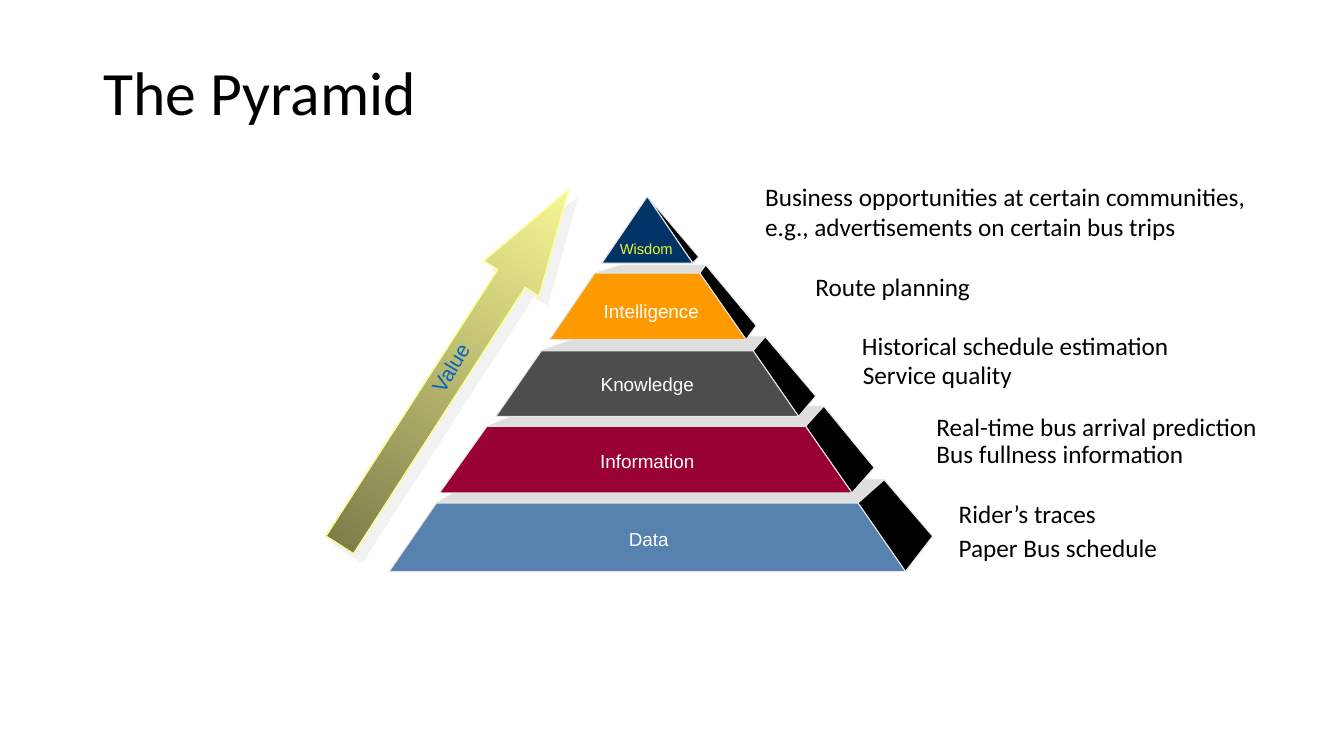
from dataclasses import dataclass

from lxml.etree import SubElement
from pptx import Presentation
from pptx.dml.color import RGBColor as RGB
from pptx.enum.shapes import MSO_SHAPE as SHAPE
from pptx.enum.text import MSO_ANCHOR as ANCHOR, MSO_AUTO_SIZE as FIT, PP_ALIGN as ALIGN
from pptx.oxml.ns import qn
from pptx.util import Pt

PX = 9144  # 100 px to the inch


@dataclass(frozen=True)
class Theme:
    body: str = "Calibri"
    label: str = "Arial"
    text: str = "000000"
    light: str = "FFFFFF"
    accent: str = "E8F62E"
    value: str = "0563C1"
    edge: str = "E7E6E6"
    side: str = "000000"
    ledge: str = "BFBFBF"
    arrow: tuple = ("FFFF99", "767647")
    title_size: float = 44
    note_size: float = 18
    value_size: float = 15
    label_size: float = 13.5
    small_size: float = 10.5


class Deck:
    def __init__(self, prs, theme):
        self.t = theme
        self.s = prs.slides.add_slide(prs.slide_layouts[6])

    def text(self, box, text, size, font, color, inset=(10, 5, 10, 5),
             spacing=None, rotation=0, **fmt):
        sp = self.s.shapes.add_textbox(*(v * PX for v in box))
        sp.rotation = rotation
        tf = sp.text_frame
        sides = ("margin_left", "margin_top", "margin_right", "margin_bottom")
        margins = {side: v * PX for side, v in zip(sides, inset)}
        align = fmt.pop("alignment", None)
        for name, value in {"word_wrap": True, **margins, **fmt}.items():
            setattr(tf, name, value)
        p = tf.paragraphs[0]
        p.alignment, p.line_spacing = align, spacing
        r = p.add_run()
        r.text = text
        for name, value in {"name": font, "size": Pt(size)}.items():
            setattr(r.font, name, value)
        r.font.color.rgb = RGB.from_string(color)

    def outline(self, sp, color, width):
        sp.line.color.rgb = RGB.from_string(color)
        sp.line.width = Pt(width)
        sp.shadow.inherit = False

    def polygon(self, points, color, alpha=None):
        fb = self.s.shapes.build_freeform(*points[0], scale=PX)
        fb.add_line_segments(points[1:], close=True)
        sp = fb.convert_to_shape()
        sp.fill.solid()
        sp.fill.fore_color.rgb = RGB.from_string(color)
        if alpha:
            clr = sp.fill._xPr.find(qn("a:solidFill"))[0]
            SubElement(clr, qn("a:alpha"), val=str(alpha * 1000))
        self.outline(sp, self.t.edge, 0.75)

    def arrow(self, box, rotation, adjustments):
        sp = self.s.shapes.add_shape(SHAPE.UP_ARROW, *(v * PX for v in box))
        sp.rotation = rotation
        for i, value in enumerate(adjustments):
            sp.adjustments[i] = value
        sp.fill.gradient()
        sp.fill.gradient_angle = 270
        for stop, color in zip(sp.fill.gradient_stops, self.t.arrow):
            stop.color.rgb = RGB.from_string(color)
        self.outline(sp, self.t.arrow[0], 1)
        effects = sp._element.spPr.find(qn("a:effectLst"))
        shadow = SubElement(effects, qn("a:outerShdw"), blurRad="0", dist=str(Pt(8.5)),
                            dir="2700000", algn="ctr", rotWithShape="0")
        clr = SubElement(shadow, qn("a:srgbClr"), val=self.t.edge)
        SubElement(clr, qn("a:alpha"), val="50000")


# Per layer: fill, front (bottom left/right, top left/right, top y, bottom y),
# back edge (left, right, y), far right corner
LAYERS = [
    ("5781AE", (386, 898, 433, 851, 499, 567), (472, 877, 476), (925, 532)),
    ("990033", (436, 845, 483, 799, 423, 489), (533, 817, 403), (867, 464)),
    ("4D4D4D", (492, 792, 537, 747, 348, 413), (576, 759, 334), (809, 393)),
    ("FF9900", (545, 740, 590, 694, 271, 337), (617, 700, 263), (750, 323)),
    ("003366", (597, 687, 642, 642, 195, 261), None, (693, 255)),
]
LABELS = [
    ("Data", (446, 527, 395, 16)),
    ("Information", (487, 449, 310, 16)),
    ("Intelligence", (590, 301, 112, 16)),
    ("Knowledge", (535, 373, 214, 16)),
]
NOTES = [
    ("Business opportunities at certain communities, e.g., advertisements on certain bus trips",
     (749, 175, 517, 71)),
    ("Route planning", (799, 264, 387, 40)),
    ("Historical schedule estimation", (845, 323, 387, 40)),
    ("Service quality", (846, 352, 387, 40)),
    ("Real-time bus arrival prediction", (919, 403, 387, 40)),
    ("Bus fullness information", (919, 430, 387, 40)),
    ("Rider’s traces", (941, 489, 387, 40)),
    ("Paper Bus schedule", (941, 523, 271, 40)),
]


def main():
    prs = Presentation()
    prs.slide_width, prs.slide_height = 1333 * PX, 750 * PX
    t = Theme()
    d = Deck(prs, t)

    # Title
    d.text((93, 33, 1150, 145), "The Pyramid", t.title_size, t.body, t.text,
           inset=(10, 5, 10, 27), spacing=0.9, vertical_anchor=ANCHOR.MIDDLE)

    # Pyramid: ledges behind, then the side and front of each layer
    for _, (_, _, left, right, top, _), back, _ in LAYERS:
        if back:
            b_left, b_right, y = back
            d.polygon([(left, top), (right, top), (b_right, y), (b_left, y)], t.ledge, 50)
    for color, (x0, x1, left, right, top, bottom), back, corner in LAYERS:
        rear = [back[1:]] if back else []
        d.polygon([(x1, bottom), (right, top), *rear, corner], t.side)
        d.polygon([(x0, bottom), (x1, bottom), (right, top), (left, top)], color)

    # Layer names
    centred = {"inset": (0, 0, 0, 0), "alignment": ALIGN.CENTER,
               "vertical_anchor": ANCHOR.MIDDLE}
    for name, box in LABELS:
        d.text(box, name, t.label_size, t.label, t.light, **centred)
    d.text((609, 237, 64, 20), "Wisdom", t.small_size, t.label, t.accent, **centred)

    # Value arrow
    d.arrow((418, 155, 65, 419), 32.8, (0.5, 1.61))
    d.text((413, 348, 67, 33), "Value", t.value_size, t.label, t.value, inset=(7, 4, 7, 4),
           rotation=301.1, alignment=ALIGN.CENTER, word_wrap=False,
           auto_size=FIT.SHAPE_TO_FIT_TEXT)

    # Examples beside the layers
    for note, box in NOTES:
        d.text(box, note, t.note_size, t.body, t.text, auto_size=FIT.SHAPE_TO_FIT_TEXT)

    prs.save("out.pptx")


if __name__ == "__main__":
    main()
